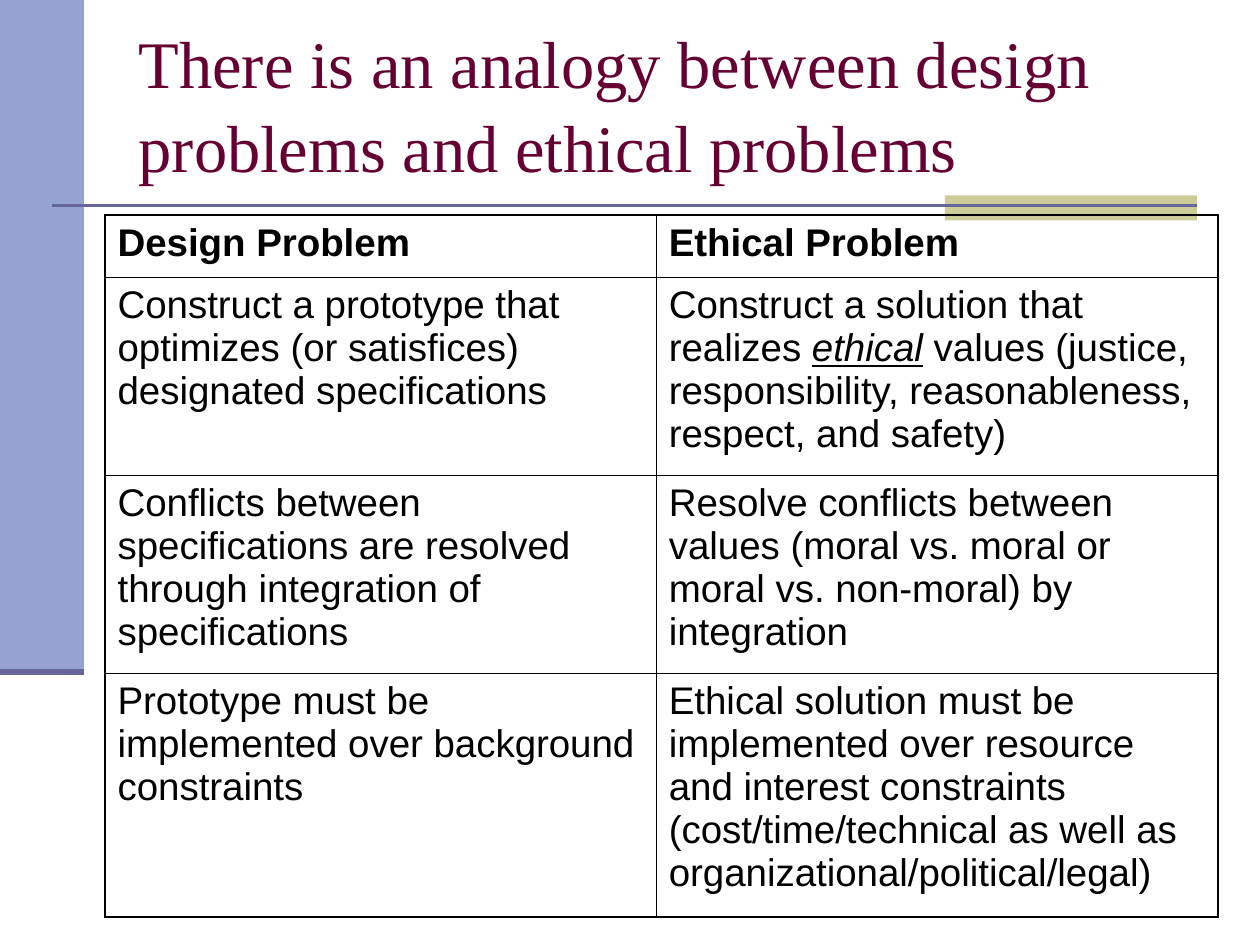
from pptx import Presentation
from pptx.dml.color import RGBColor as RGB
from pptx.enum.shapes import MSO_CONNECTOR as CONN, MSO_SHAPE as SHAPE
from pptx.enum.text import MSO_ANCHOR as ANCHOR, MSO_AUTO_SIZE as FIT, PP_ALIGN as ALIGN
from pptx.oxml.ns import qn
from pptx.util import Inches, Pt
from lxml.etree import SubElement

COLORS = {
    "band": "95A3D1",
    "accent": "CCCC99",
    "rule": "666699",
    "title": "660033",
    "text": "000000",
}

prs = Presentation()
prs.slide_width, prs.slide_height = Inches(10), Inches(7.5)
UNIT = prs.slide_width / 120


def grid(*units):
    return [round(u * UNIT) for u in units]


def style(r, font, size, color):
    r.font.name, r.font.size = font, Pt(size)
    r.font.color.rgb = RGB.from_string(COLORS[color])


s = prs.slides.add_slide(prs.slide_layouts[5])

for color, box in (("band", (0, 0, 8, 64)), ("accent", (90, 18.6, 24, 2.4))):
    sp = s.shapes.add_shape(SHAPE.RECTANGLE, *grid(*box))
    sp.shadow.inherit = False
    sp.fill.solid()
    sp.fill.fore_color.rgb = RGB.from_string(COLORS[color])
    sp.line.fill.background()

for x1, x2, y, width in ((5, 114, 19.6, 1.5), (0, 8, 64, 3.5)):
    sp = s.shapes.add_connector(CONN.STRAIGHT, *grid(x1, y, x2, y))
    sp.line.color.rgb = RGB.from_string(COLORS["rule"])
    sp.line.width = Pt(width)
    SubElement(sp._element.spPr, qn("a:effectLst"))

title = s.shapes.title
title.left, title.top, title.width, title.height = grid(12, 2, 102, 15.4)
tf = title.text_frame
tf.text = "There is an analogy between design problems and ethical problems"
tf.word_wrap, tf.auto_size = True, FIT.NONE
tf.vertical_anchor = ANCHOR.MIDDLE
p = tf.paragraphs[0]
p.alignment, p.line_spacing = ALIGN.LEFT, 1.05
style(p.runs[0], "Times New Roman", 38, "title")

ROWS = [
    ("Design Problem", "Ethical Problem"),
    (
        "Construct a prototype that optimizes (or satisfices) designated specifications",
        "Construct a solution that realizes |ethical| values (justice, "
        "responsibility, reasonableness, respect, and safety)",
    ),
    (
        "Conflicts between specifications are resolved through integration of specifications",
        "Resolve conflicts between values (moral vs. moral or moral vs. non-moral) by integration",
    ),
    (
        "Prototype must be implemented over background constraints",
        "Ethical solution must be implemented over resource and interest constraints "
        "(cost/time/technical as well as organizational/political/legal)",
    ),
]
COL_WIDTHS = grid(52.5, 53.5)
ROW_HEIGHTS = grid(5.9, 18.85, 18.85, 23.25)

table = s.shapes.add_table(
    len(ROWS), 2, *grid(10, 20.5), sum(COL_WIDTHS), sum(ROW_HEIGHTS)
).table
table.first_row = table.horz_banding = False
for column, width in zip(table.columns, COL_WIDTHS):
    column.width = width
for row, height in zip(table.rows, ROW_HEIGHTS):
    row.height = height

for i, row in enumerate(ROWS):
    for j, text in enumerate(row):
        cell = table.cell(i, j)
        p = cell.text_frame.paragraphs[0]
        for k, part in enumerate(text.split("|")):
            r = p.add_run()
            r.text = part
            style(r, "Arial", 22, "text")
            r.font.bold = i == 0
            r.font.italic = r.font.underline = k == 1
        tc_pr = cell._tc.get_or_add_tcPr()
        outer = {"L": j == 0, "R": j == 1, "T": i == 0, "B": i == len(ROWS) - 1}
        for side, is_outer in outer.items():
            width = Pt(1.08 if is_outer else 0.45)
            ln = SubElement(tc_pr, qn(f"a:ln{side}"), w=str(width))
            fill = SubElement(ln, qn("a:solidFill"))
            SubElement(fill, qn("a:srgbClr"), val=COLORS["text"])
        cell.fill.background()

prs.save("out.pptx")
